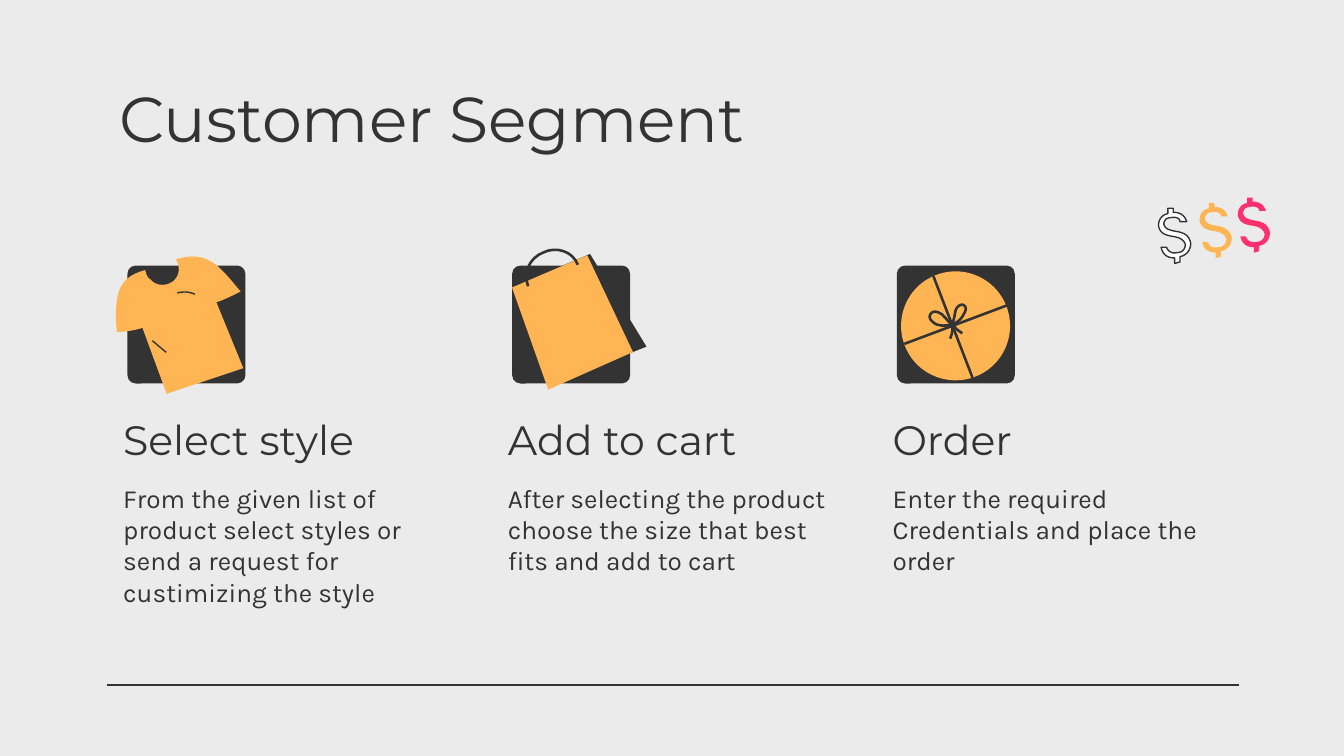
from lxml import etree
from pptx import Presentation
from pptx.dml.color import RGBColor
from pptx.enum.shapes import MSO_CONNECTOR, MSO_SHAPE
from pptx.enum.text import MSO_ANCHOR, MSO_AUTO_SIZE, PP_ALIGN
from pptx.oxml.ns import qn
from pptx.util import Cm, Pt

TOP, BOTTOM = MSO_ANCHOR.TOP, MSO_ANCHOR.BOTTOM
LEFT = PP_ALIGN.LEFT
FIXED = MSO_AUTO_SIZE.NONE
STRAIGHT = MSO_CONNECTOR.STRAIGHT
ROUND, OVAL = MSO_SHAPE.ROUNDED_RECTANGLE, MSO_SHAPE.OVAL

DARK = RGBColor(0x33, 0x33, 0x33)
PALE = RGBColor(0xEB, 0xEB, 0xEB)
GOLD = RGBColor(0xFF, 0xB5, 0x54)
PINK = RGBColor(0xFF, 0x30, 0x70)
WHITE = RGBColor(0xFF, 0xFF, 0xFF)

TITLE = "Customer Segment"
STEPS = [
    ("Select style", "From the given list of product select styles or "
                     "send a request for custimizing the style"),
    ("Add to cart", "After selecting the product choose the size that best "
                    "fits and add to cart"),
    ("Order", "Enter the required Credentials and place the order"),
]

# Outline points are in hundredths of an inch: pairs are lines, sixes are curves.
UNIT = Cm(2.54) / 100
SHIRT = [
    (165, 201), (164, 200, 163, 199, 162, 198), (151, 189, 141, 190, 131, 193),
    (135, 200, 133, 208, 126, 211), (121, 213, 115, 212, 112, 208),
    (110, 207, 109, 205, 108, 201), (97, 204, 89, 209, 87, 223),
    (86, 231, 86, 239, 87, 247), (93, 247, 100, 246, 106, 244),
    (124, 293), (181, 274), (161, 225), (167, 223, 173, 220, 179, 217),
    (174, 211, 170, 206, 165, 201),
]
CREASE = [(132, 218), (136, 217, 141, 217, 145, 219)]
SIDE = [(439, 189), (392, 209), (418, 285), (471, 262), (481, 258)]
FRONT = [(437, 190), (381, 214), (408, 290), (471, 262)]
HANDLE = [(393, 213), (389, 203, 394, 192, 404, 188),
          (414, 183, 426, 187, 430, 197)]
BOW = [
    [(708, 242), (710, 238, 710, 236, 711, 231), (712, 228, 715, 226, 717, 227),
     (720, 229, 718, 232, 717, 234), (715, 238, 712, 240, 708, 242)],
    [(708, 242), (705, 238, 703, 236, 701, 234), (698, 232, 695, 231, 693, 233),
     (690, 236, 693, 239, 696, 241), (700, 243, 704, 242, 708, 242)],
    [(707, 252), (709, 247, 709, 245, 708, 240)],
    [(708, 240), (710, 244, 713, 246, 716, 248)],
]
DOLLAR = [
    (928, 147), (928, 151), (923, 152, 921, 156, 921, 160),
    (922, 165, 925, 167, 932, 168), (938, 169, 940, 171, 941, 174),
    (941, 177, 939, 180, 935, 180), (931, 181, 928, 179, 927, 176),
    (923, 176), (924, 181, 927, 184, 933, 184), (933, 188), (937, 187),
    (937, 183), (942, 182, 945, 178, 945, 173), (944, 168, 941, 165, 933, 164),
    (928, 163, 926, 162, 925, 159), (925, 157, 926, 154, 930, 154),
    (935, 153, 937, 155, 937, 157), (942, 157), (941, 154, 939, 150, 932, 150),
    (932, 147),
]
SIGNS = [(-59, 8, WHITE, DARK), (-28.5, 4, GOLD, None), (0, 0, PINK, None)]

deck = Presentation()
deck.slide_width, deck.slide_height = Cm(25.4), Cm(14.29)
slide = deck.slides.add_slide(deck.slide_layouts[5])
slide.background.fill.solid()
slide.background.fill.fore_color.rgb = PALE
shapes = slide.shapes


def write(box, text, place, size, font, anchor=TOP):
    box.left, box.top, box.width, box.height = map(Cm, place)
    frame = box.text_frame
    frame.text = text
    frame.word_wrap = True
    frame.auto_size = FIXED
    frame.vertical_anchor = anchor
    frame.margin_left = frame.margin_right = Cm(0.25)
    frame.margin_top = frame.margin_bottom = Cm(0.25)
    para = frame.paragraphs[0]
    para.alignment = LEFT
    para.font.size = Pt(size)
    para.font.name = font
    para.font.color.rgb = DARK


def label(text, place, **style):
    write(shapes.add_textbox(0, 0, 0, 0), text, place, **style)


def paint(shape, fill=None, line=None, width=0.5):
    shape.shadow.inherit = False
    if fill is None:
        shape.fill.background()
    else:
        shape.fill.solid()
        shape.fill.fore_color.rgb = fill
    if line is None:
        shape.line.fill.background()
    else:
        shape.line.color.rgb = line
        shape.line.width = Pt(width)


def trace(path, dx=0, dy=0, steps=8):
    dots = [path[0]]
    for part in path[1:]:
        if len(part) == 2:
            dots.append(part)
            continue
        ends = [dots[-1], part[:2], part[2:4], part[4:]]
        for step in range(1, steps + 1):
            t = step / steps
            mix = ((1 - t) ** 3, 3 * t * (1 - t) ** 2,
                   3 * t * t * (1 - t), t ** 3)
            dots.append(tuple(sum(m * e[k] for m, e in zip(mix, ends))
                              for k in (0, 1)))
    return [((x + dx) * UNIT, (y + dy) * UNIT) for x, y in dots]


def draw(path, dx=0, dy=0, **style):
    dots = trace(path, dx, dy)
    pen = shapes.build_freeform(*dots[0])
    pen.add_line_segments(dots[1:], close=style.get("fill") is not None)
    paint(pen.convert_to_shape(), **style)


def rule(x1, y1, x2, y2, width):
    line = shapes.add_connector(STRAIGHT, Cm(x1), Cm(y1), Cm(x2), Cm(y2))
    line.line.color.rgb = DARK
    line.line.width = Pt(width)
    etree.SubElement(line._element.spPr, qn("a:effectLst"))


rule(2.03, 12.95, 23.42, 12.95, 0.75)
write(shapes.title, TITLE, (2.01, 1.24, 21.41, 1.6), 34, "Montserrat")

for col, (head, body) in enumerate(STEPS):
    shift = col * 7.27
    tile = shapes.add_shape(ROUND, Cm(2.41 + shift), Cm(5.02),
                            Cm(2.23), Cm(2.23))
    tile.adjustments[0] = 0.07
    paint(tile, fill=DARK)
    label(head, (2.08 + shift, 7.54, 6.68, 1.47), size=22,
          font="Montserrat", anchor=BOTTOM)
    label(body, (2.08 + shift, 8.86, 6.68, 2.84), size=14, font="Karla")

for dx, dy, fill, line in SIGNS:
    draw(DOLLAR, dx, dy, fill=fill, line=line, width=0.75)

draw(SHIRT, fill=GOLD)
rule(2.88, 6.44, 3.14, 6.66, 0.75)
draw(CREASE, line=DARK, width=0.75)

draw(SIDE, fill=DARK)
draw(FRONT, fill=GOLD)
draw(HANDLE, line=DARK, width=1.4)

gift = shapes.add_shape(OVAL, Cm(17.03), Cm(5.13), Cm(2.06), Cm(2.06))
paint(gift, fill=GOLD)
rule(17.09, 6.5, 19.04, 5.77, 1.4)
rule(17.64, 5.22, 18.38, 7.14, 1.4)
for loop in BOW:
    draw(loop, line=DARK, width=1.4)

deck.save("out.pptx")
